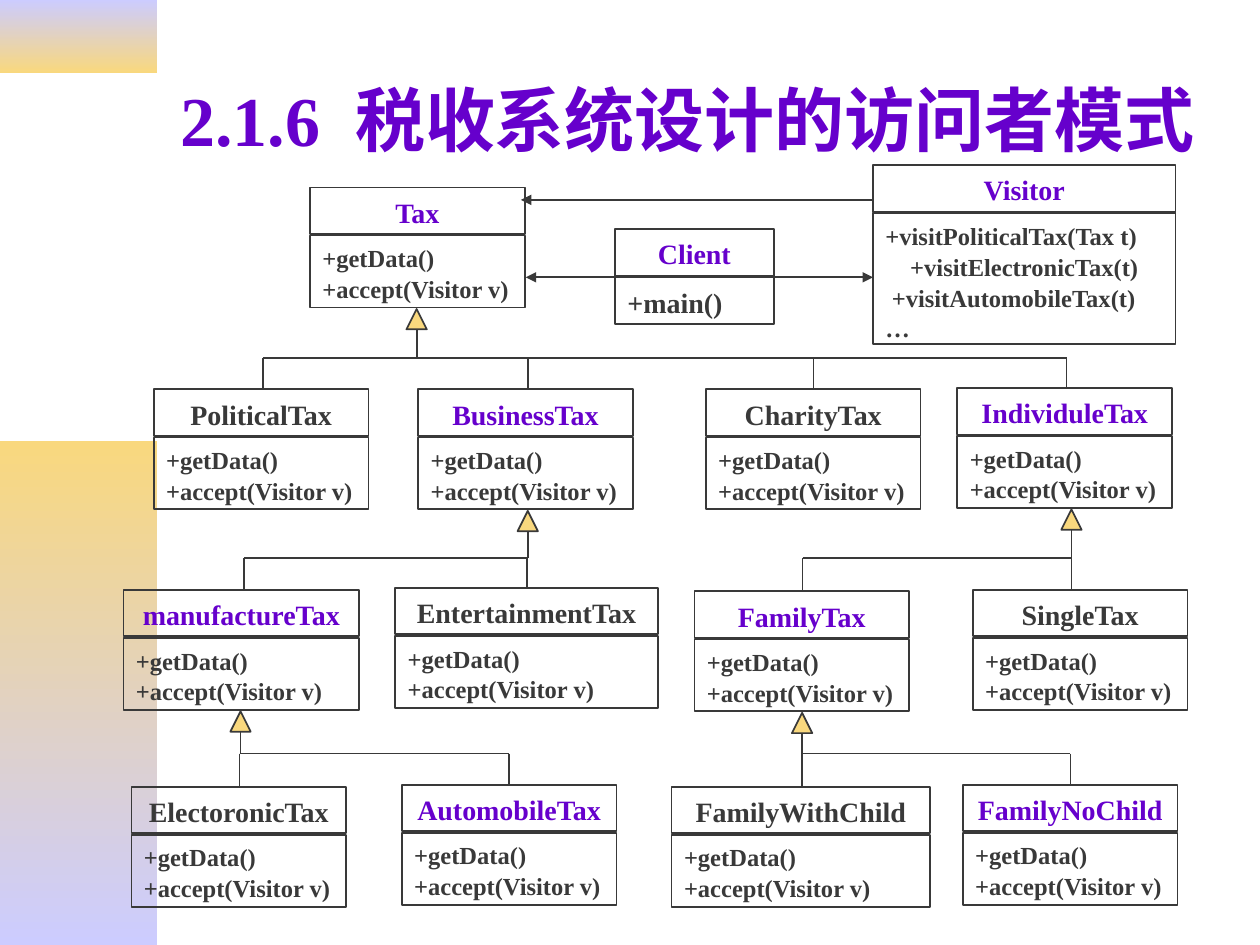
import pptx
import pptx.util
import pptx.dml.color
import pptx.enum.shapes
import pptx.enum.text
import pptx.oxml
import pptx.oxml.ns

Cm, Pt = pptx.util.Cm, pptx.util.Pt
SHAPE = pptx.enum.shapes.MSO_SHAPE
ALIGN = pptx.enum.text.PP_ALIGN

COLORS = {"ink": "393939", "accent": "6600CC", "gold": "F9D87E", "lilac": "CCCCFF"}
FONT = "Times New Roman"
TITLE = ("2.1.6", " ", "税收系统设计的访问者模式")

# left, top, width, height, upper colour, lower colour
SIDEBARS = [
    (0, 0, 3.17, 1.47, "lilac", "gold"),
    (0, 8.89, 3.17, 10.16, "gold", "lilac"),
]

# Each method is (text, left indent)
TAX_METHODS = [("+getData()", 0), ("+accept(Visitor v)", 0)]
VISITOR_METHODS = [
    ("+visitPoliticalTax(Tax t)", 0),
    ("+visitElectronicTax(t)", 0.5),
    ("+visitAutomobileTax(t)", 0.13),
    ("…", 0),
]

# name: left, top, width, name colour
TAXES = {
    "Tax": (6.25, 3.78, 4.33, "accent"),
    "PoliticalTax": (3.1, 7.85, 4.33, "ink"),
    "BusinessTax": (8.43, 7.85, 4.33, "accent"),
    "CharityTax": (14.23, 7.85, 4.33, "ink"),
    "IndividuleTax": (19.3, 7.82, 4.33, "accent"),
    "manufactureTax": (2.49, 11.89, 4.75, "accent"),
    "EntertainmentTax": (7.97, 11.85, 5.29, "ink"),
    "FamilyTax": (14, 11.92, 4.33, "accent"),
    "SingleTax": (19.61, 11.89, 4.33, "ink"),
    "ElectoronicTax": (2.65, 15.86, 4.33, "ink"),
    "AutomobileTax": (8.1, 15.82, 4.33, "accent"),
    "FamilyWithChild": (13.54, 15.86, 5.21, "ink"),
    "FamilyNoChild": (19.41, 15.82, 4.33, "accent"),
}

# parent, trunk x, bus y, {child: drop x}
INHERITANCE = [
    ("Tax", 8.4, 7.22, {"PoliticalTax": 5.3, "BusinessTax": 10.64,
                        "CharityTax": 16.4, "IndividuleTax": 21.5}),
    ("BusinessTax", 10.64, 11.25, {"manufactureTax": 4.92, "EntertainmentTax": 10.62}),
    ("IndividuleTax", 21.6, 11.25, {"FamilyTax": 16.18, "SingleTax": 21.6}),
    ("manufactureTax", 4.85, 15.19, {"ElectoronicTax": 4.83, "AutomobileTax": 10.26}),
    ("FamilyTax", 16.17, 15.19, {"FamilyWithChild": 16.17, "FamilyNoChild": 21.58}),
]

# start x, end x, y
ARROWS = [(12.4, 10.6, 5.59), (15.6, 17.6, 5.59), (17.6, 10.5, 4.03)]

HEADER_HEIGHT, BODY_OFFSET, BODY_HEIGHT = 0.94, 0.97, 1.45
TRIANGLE, TRIANGLE_GAP = 0.41, 0.03


def color(name):
    return pptx.dml.color.RGBColor.from_string(COLORS[name])


def set_font(font, size, name):
    font.name, font.size, font.bold = FONT, Pt(size), True
    font.color.rgb = color(name)


def add_outlined(slide, kind, left, top, width, height):
    shape = slide.shapes.add_shape(kind, Cm(left), Cm(top), Cm(width), Cm(height))
    shape.shadow.inherit = False
    shape.fill.background()
    shape.line.color.rgb = color("ink")
    shape.line.width = Pt(1)
    return shape


def add_compartment(slide, bounds, lines, size, name, align=ALIGN.LEFT):
    box = add_outlined(slide, SHAPE.RECTANGLE, *bounds)
    frame = box.text_frame
    frame.word_wrap = True
    frame.vertical_anchor = pptx.enum.text.MSO_ANCHOR.TOP
    for index, (text, indent) in enumerate(lines):
        para = frame.add_paragraph() if index else frame.paragraphs[0]
        para.text = text
        para.alignment = align
        para.line_spacing = 1.05
        if indent:
            para._p.get_or_add_pPr().set("marL", str(Cm(indent)))
        set_font(para.font, size, name)


def add_class(slide, name, place, methods, body_height=BODY_HEIGHT, body_size=14):
    left, top, width, name_color = place
    add_compartment(slide, (left, top + BODY_OFFSET, width, body_height),
                    methods, body_size, "ink")
    add_compartment(slide, (left, top, width, HEADER_HEIGHT),
                    [(name, 0)], 16, name_color, ALIGN.CENTER)


def add_line(slide, x1, y1, x2, y2, arrow=False):
    line = slide.shapes.add_connector(
        pptx.enum.shapes.MSO_CONNECTOR.STRAIGHT, Cm(x1), Cm(y1), Cm(x2), Cm(y2))
    line.line.color.rgb = color("ink")
    line.line.width = Pt(1)
    if arrow:
        namespace = pptx.oxml.ns.nsdecls("a")
        line.line._get_or_add_ln().append(
            pptx.oxml.parse_xml(f'<a:tailEnd {namespace} type="triangle"/>'))
    line._element.spPr.append(
        pptx.oxml.parse_xml(f'<a:effectLst {pptx.oxml.ns.nsdecls("a")}/>'))


def add_inheritance(slide, parent, trunk, bus, children):
    tip = TAXES[parent][1] + BODY_OFFSET + BODY_HEIGHT + TRIANGLE_GAP
    head = add_outlined(slide, SHAPE.ISOSCELES_TRIANGLE,
                        trunk - TRIANGLE / 2, tip, TRIANGLE, TRIANGLE)
    head.fill.solid()
    head.fill.fore_color.rgb = color("gold")
    add_line(slide, trunk, tip + TRIANGLE, trunk, bus)
    ends = [trunk, *children.values()]
    add_line(slide, min(ends), bus, max(ends), bus)
    for child, x in children.items():
        add_line(slide, x, bus, x, TAXES[child][1])


def add_title(slide):
    title = slide.shapes.title
    title.left, title.top, title.width, title.height = Cm(3.38), Cm(0.71), Cm(21.6), Cm(3.35)
    title.text_frame.word_wrap = True
    para = title.text_frame.paragraphs[0]
    para.alignment = ALIGN.LEFT
    spans = [para.add_run() for _ in TITLE]
    for span, text in zip(spans, TITLE):
        span.text = text
    spans[1].font._element.set("spc", "1000")  # widens the gap after the number
    set_font(para.font, 40, "accent")


def add_sidebar(slide, left, top, width, height, *stops):
    bar = add_outlined(slide, SHAPE.RECTANGLE, left, top, width, height)
    bar.line.fill.background()
    bar.fill.gradient()
    bar.fill.gradient_angle = 270
    for stop, name in zip(bar.fill.gradient_stops, stops):
        stop.color.rgb = color(name)


def main():
    deck = pptx.Presentation()
    deck.slide_width, deck.slide_height = Cm(25.4), Cm(19.05)
    slide = deck.slides.add_slide(deck.slide_layouts[5])
    add_title(slide)
    for sidebar in SIDEBARS:
        add_sidebar(slide, *sidebar)
    for name, place in TAXES.items():
        add_class(slide, name, place, TAX_METHODS)
    add_class(slide, "Visitor", (17.6, 3.33, 6.1, "accent"), VISITOR_METHODS, 2.64)
    add_class(slide, "Client", (12.4, 4.62, 3.2, "accent"), [("+main()", 0)], HEADER_HEIGHT, 16)
    for family in INHERITANCE:
        add_inheritance(slide, *family)
    for start, end, y in ARROWS:
        add_line(slide, start, y, end, y, arrow=True)
    deck.save("out.pptx")


if __name__ == "__main__":
    main()
